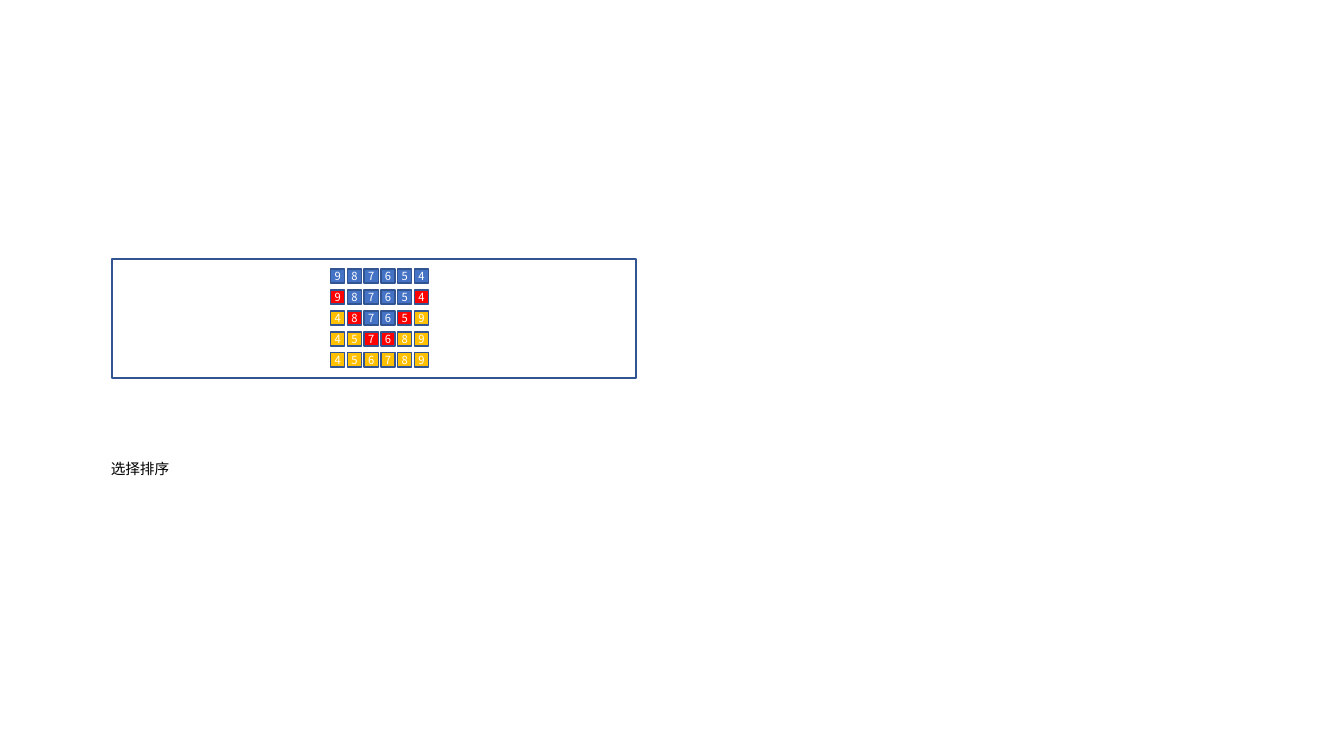
"""Build a slide showing the passes of a selection sort on six numbers."""
from lxml import etree
from pptx import Presentation
from pptx.dml.color import RGBColor
from pptx.enum import shapes, text
from pptx.oxml import ns
from pptx.util import Inches, Pt

FONT = "Noto Sans CJK SC"
WHITE = RGBColor(0xFF, 0xFF, 0xFF)
BLACK = RGBColor(0x00, 0x00, 0x00)
OUTLINE = RGBColor(0x32, 0x54, 0x91)
UNSORTED = RGBColor(0x44, 0x72, 0xC4)
SWAPPED = RGBColor(0xFF, 0x00, 0x00)
SORTED = RGBColor(0xFF, 0xC0, 0x00)
STATE_COLORS = {"u": UNSORTED, "x": SWAPPED, "s": SORTED}

PASSES = [
    ("987654", "uuuuuu"),
    ("987654", "xuuuux"),
    ("487659", "sxuuxs"),
    ("457689", "ssxxss"),
    ("456789", "ssssss"),
]
CELL_SIZE = 0.14
GRID_LEFT, GRID_RIGHT = 3.28, 4.11
GRID_TOP, GRID_BOTTOM = 2.67, 3.5
COLUMN_STEP = (GRID_RIGHT - GRID_LEFT) / (len(PASSES[0][0]) - 1)
ROW_STEP = (GRID_BOTTOM - GRID_TOP) / (len(PASSES) - 1)


def add_box(left, top, width, height):
    box = slide.shapes.add_shape(
        shapes.MSO_SHAPE.RECTANGLE,
        Inches(left), Inches(top), Inches(width), Inches(height))
    box.shadow.inherit = False
    box.line.color.rgb = OUTLINE
    box.line.width = Pt(1)
    return box


def write_text(shape, content, size, color):
    frame = shape.text_frame
    frame.text = content
    frame.word_wrap = False
    font = frame.paragraphs[0].runs[0].font
    font.name = FONT
    font.size = Pt(size)
    font.color.rgb = color
    properties = frame.paragraphs[0].runs[0]._r.get_or_add_rPr()
    etree.SubElement(properties, ns.qn("a:ea"), typeface=FONT)


presentation = Presentation()
presentation.slide_width = Inches(13.33)
presentation.slide_height = Inches(7.5)
slide = presentation.slides.add_slide(presentation.slide_layouts[6])

border = add_box(1.11, 2.57, 5.2, 1.18)
border.fill.background()

for row, (numbers, states) in enumerate(PASSES):
    for column, (number, state) in enumerate(zip(numbers, states)):
        cell = add_box(GRID_LEFT + column * COLUMN_STEP,
                       GRID_TOP + row * ROW_STEP, CELL_SIZE, CELL_SIZE)
        cell.fill.solid()
        cell.fill.fore_color.rgb = STATE_COLORS[state]
        write_text(cell, number, 8, WHITE)
        frame = cell.text_frame
        frame.margin_left = frame.margin_right = 0
        frame.margin_top = frame.margin_bottom = 0
        frame.vertical_anchor = text.MSO_ANCHOR.MIDDLE
        frame.paragraphs[0].alignment = text.PP_ALIGN.CENTER

caption = slide.shapes.add_textbox(Inches(1), Inches(4.51), Inches(0.79), Inches(0.28))
write_text(caption, "选择排序", 10.5, BLACK)
caption.text_frame.auto_size = text.MSO_AUTO_SIZE.SHAPE_TO_FIT_TEXT

presentation.save("out.pptx")
